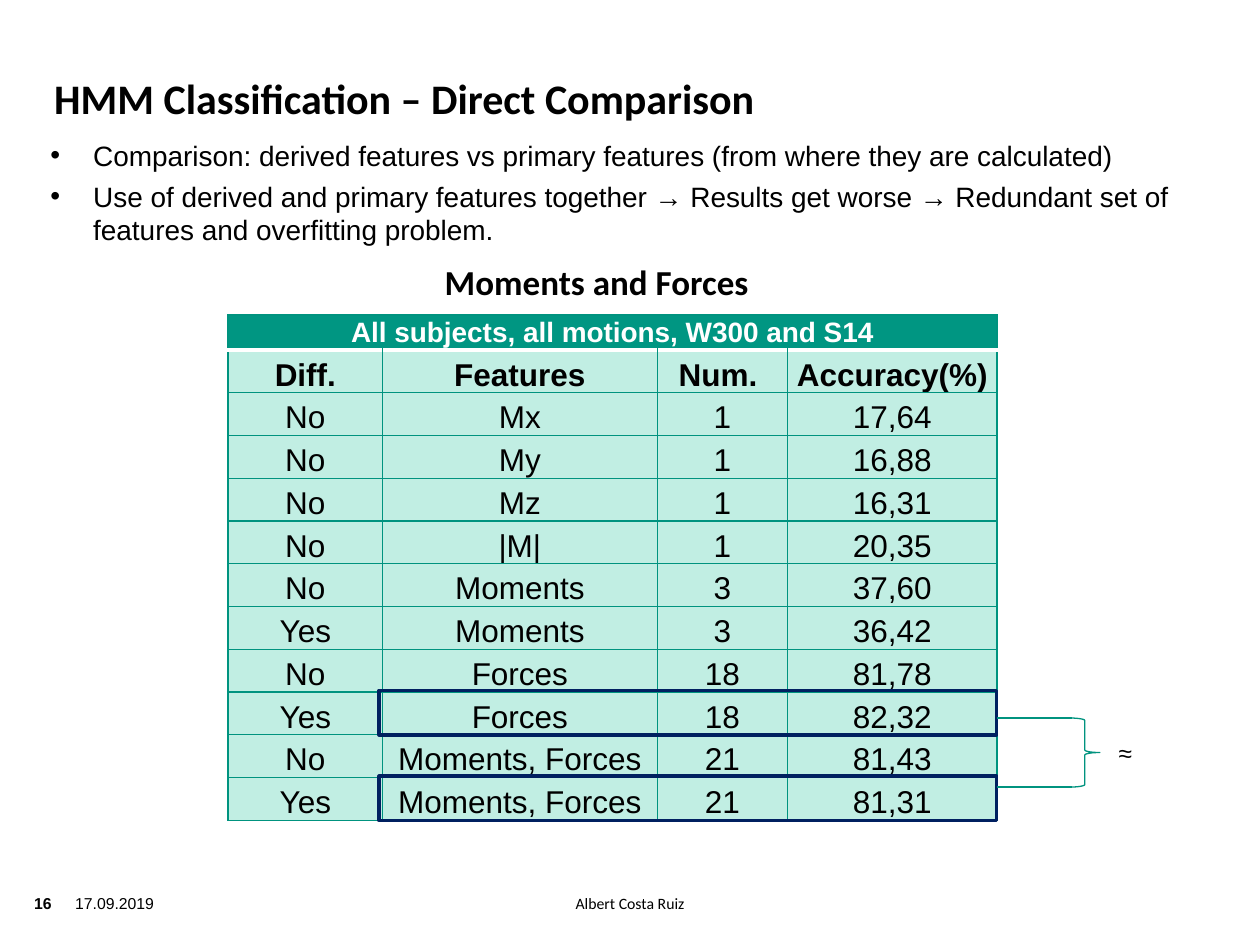
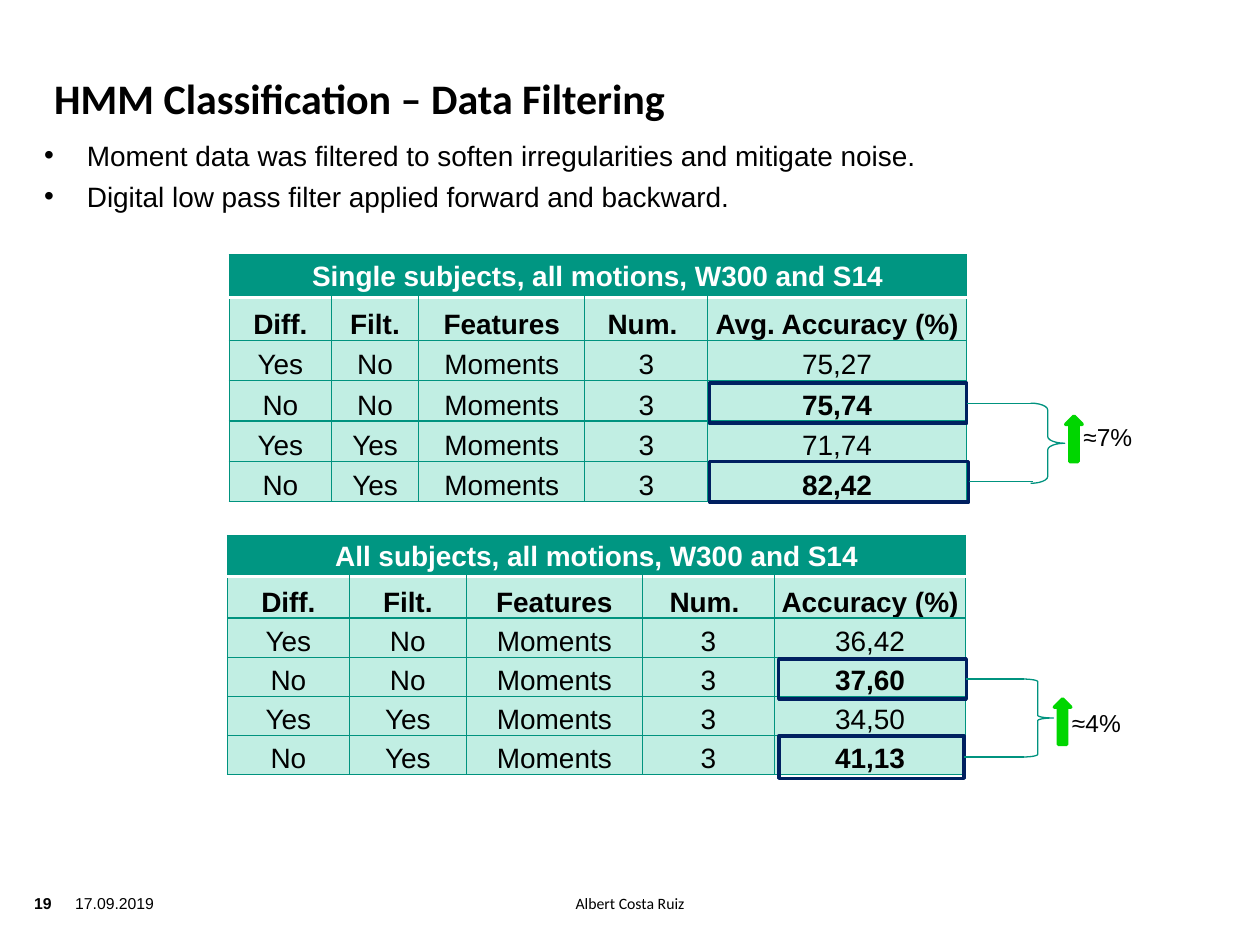
from lxml import etree
from pptx import Presentation
from pptx import util as u
from pptx.dml.color import RGBColor
from pptx.enum import shapes, text
from pptx.oxml import ns

Pt = u.Pt
COLORS = {
    "black": "000000",
    "white": "FFFFFF",
    "header": "009682",
    "cell": "C1EEE3",
    "grid": "00937F",
    "marker": "002060",
    "gain": "00D600",
}
CENTER = text.PP_ALIGN.CENTER
BULLET_INDENT = 24.5


def rgb(name):
    return RGBColor.from_string(COLORS[name])


def write_text(paragraph, content, size=16, font="Arial", color="black", bold=False,
               align=None, before=0, line_spacing=None):
    run = paragraph.add_run()
    run.text = content
    run.font.size = Pt(size)
    run.font.name = font
    run.font.bold = bold
    run.font.color.rgb = rgb(color)
    paragraph.alignment = align
    paragraph.space_before = Pt(before)
    if line_spacing:
        paragraph.line_spacing = line_spacing


def add_bullet(paragraph):
    properties = paragraph._p.get_or_add_pPr()
    properties.set("marL", str(Pt(BULLET_INDENT)))
    properties.set("indent", str(-Pt(BULLET_INDENT)))
    etree.SubElement(properties, ns.qn("a:buFont")).set("typeface", "Arial")
    etree.SubElement(properties, ns.qn("a:buChar")).set("char", "•")


def add_text(slide, box, lines, inset=(0, 0), anchor=text.MSO_ANCHOR.TOP,
             bullets=False, **text_format):
    frame = slide.shapes.add_textbox(*map(Pt, box)).text_frame
    frame.word_wrap = True
    frame.vertical_anchor = anchor
    frame.margin_left = frame.margin_right = Pt(inset[0])
    frame.margin_top = frame.margin_bottom = Pt(inset[1])
    for index, line in enumerate(lines):
        paragraph = frame.add_paragraph() if index else frame.paragraphs[0]
        write_text(paragraph, line, **text_format)
        if bullets:
            add_bullet(paragraph)


def add_slide(presentation, number, title, bullets, bullets_left):
    slide = presentation.slides.add_slide(presentation.slide_layouts[6])
    add_text(slide, (118.8, 508.3, 482.4, 28), ["Albert Costa Ruiz"], inset=(7.2, 3.6),
             size=9, font="Calibri", align=CENTER, line_spacing=0.9)
    add_text(slide, (43, 510.5, 67.7, 28), ["17.09.2019"], size=9)
    add_text(slide, (19.5, 510.5, 25, 16.5), [number], size=9, bold=True)
    add_text(slide, (31, 26, 579, 44), [title], anchor=text.MSO_ANCHOR.BOTTOM,
             size=24, font="Calibri", bold=True)
    add_text(slide, (bullets_left, 79.2, 674.6, 101.5), bullets, bullets=True, before=4)
    return slide


def set_border(cell, position, side, color, width):
    line = etree.Element(ns.qn(f"a:ln{side}"), w=str(Pt(width)))
    fill = etree.SubElement(line, ns.qn("a:solidFill"))
    etree.SubElement(fill, ns.qn("a:srgbClr")).set("val", COLORS[color])
    cell._tc.get_or_add_tcPr().insert(position, line)


def style_cell(cell, row):
    cell.margin_left = cell.margin_right = cell.margin_top = Pt(0.7)
    cell.margin_bottom = 0
    cell.vertical_anchor = text.MSO_ANCHOR.BOTTOM if row else text.MSO_ANCHOR.MIDDLE
    cell.fill.solid()
    cell.fill.fore_color.rgb = rgb("cell" if row else "header")
    white_side = {0: "B", 1: "T"}.get(row)
    for position, side in enumerate("LRTB"):
        color, width = ("white", 2) if side == white_side else ("grid", 0.75)
        set_border(cell, position, side, color, width)


def add_results(slide, left, top, widths, heights, title, rows, size=16, best_rows=()):
    frame = slide.shapes.add_table(len(heights), len(widths), Pt(left), Pt(top),
                                   Pt(sum(widths)), Pt(sum(heights)))
    table = frame.table
    table.first_row = table.horz_banding = False
    for column, width in zip(table.columns, widths):
        column.width = Pt(width)
    for row, height in zip(table.rows, heights):
        row.height = Pt(height)
    last = len(widths) - 1
    table.cell(0, 0).merge(table.cell(0, last))
    for row in range(len(heights)):
        for column in range(len(widths)):
            style_cell(table.cell(row, column), row)
    write_text(table.cell(0, 0).text_frame.paragraphs[0], title, color="white",
               bold=True, align=CENTER)
    for row, values in enumerate(rows, 1):
        for column, value in enumerate(values):
            bold = row == 1 or (row in best_rows and column == last)
            write_text(table.cell(row, column).text_frame.paragraphs[0], value,
                       size=size, bold=bold, align=CENTER)


def add_outline(slide, kind, box, color, width, fill=None):
    shape = slide.shapes.add_shape(kind, *map(Pt, box))
    shape.shadow.inherit = False
    if fill:
        shape.fill.solid()
        shape.fill.fore_color.rgb = rgb(fill)
    else:
        shape.fill.background()
    shape.line.color.rgb = rgb(color)
    shape.line.width = Pt(width)
    return shape


def add_marker(slide, *box):
    return add_outline(slide, shapes.MSO_SHAPE.RECTANGLE, box, "marker", 2)


def add_line(slide, start, end, y, marker=None):
    connector = slide.shapes.add_connector(shapes.MSO_CONNECTOR.STRAIGHT,
                                           Pt(start), Pt(y), Pt(end), Pt(y))
    if marker is not None:
        connector.begin_connect(marker, 3)
        connector.end_y = connector.begin_y
    connector.line.color.rgb = rgb("grid")
    connector.line.width = Pt(0.75)
    etree.SubElement(connector._element.spPr, ns.qn("a:effectLst"))


def add_brace(slide, start, left, top, width, height, markers=(None, None)):
    for y, marker in zip((top, top + height), markers):
        add_line(slide, start, left + 1.4, y, marker)
    return add_outline(slide, shapes.MSO_SHAPE.RIGHT_BRACE, (left, top, width, height),
                       "grid", 0.75)


def add_note(slide, left, top, content):
    add_text(slide, (left, top, 64, 24.5), [content], inset=(7.2, 3.6), size=14)


def add_gain(slide, left, top, note_left, note_top, content):
    add_outline(slide, shapes.MSO_SHAPE.UP_ARROW, (left, top, 9.4, 26), "gain", 2, "gain")
    add_note(slide, note_left, note_top, content)


def build_comparison(presentation):
    slide = add_slide(presentation, "16", "HMM Classification – Direct Comparison", [
        "Comparison: derived features vs primary features (from where they are calculated)",
        "Use of derived and primary features together → Results get worse → "
        "Redundant set of features and overfitting problem.",
    ], 28.8)
    add_text(slide, (247, 145.4, 226.8, 35.3), ["Moments and Forces"], inset=(7.2, 3.6),
             size=20, font="Calibri", bold=True)
    add_results(slide, 130.3, 180, (88.4, 156.8, 74.6, 119.7), [20] + [24.45] * 11,
                "All subjects, all motions, W300 and S14", [
                    ("Diff.", "Features", "Num. ", "Accuracy(%)"),
                    ("No", "Mx", "1", "17,64"),
                    ("No", "My", "1", "16,88"),
                    ("No", "Mz", "1", "16,31"),
                    ("No", "|M|", "1", "20,35"),
                    ("No", "Moments", "3", "37,60"),
                    ("Yes", "Moments", "3", "36,42"),
                    ("No", "Forces", "18", "81,78"),
                    ("Yes", "Forces", "18", "82,32"),
                    ("No", "Moments, Forces", "21", "81,43"),
                    ("Yes", "Moments, Forces", "21", "81,31"),
                ], size=18)
    for top in (394.6, 443.5):
        add_marker(slide, 216.7, top, 352.8, 25.3)
    add_brace(slide, 569.5, 611.3, 410.3, 17.2, 39.5)
    add_note(slide, 632.2, 418.3, "≈")


def build_filtering(presentation):
    slide = add_slide(presentation, "19", "HMM Classification – Data Filtering", [
        "Moment data was filtered to soften irregularities and mitigate noise.",
        "Digital low pass filter applied forward and backward.",
    ], 25.2)
    settings = [("Yes", "No"), ("No", "No"), ("Yes", "Yes"), ("No", "Yes")]

    def filter_rows(accuracy_label, accuracies):
        head = ("Diff.", "Filt.", "Features", "Num. ", accuracy_label)
        return [head] + [(*setting, "Moments", "3", accuracy)
                         for setting, accuracy in zip(settings, accuracies)]

    add_results(slide, 131, 145.6, (58.5, 49.7, 95.1, 70.3, 147.6), [24.5] * 2 + [23] * 4,
                "Single subjects, all motions, W300 and S14",
                filter_rows("Avg. Accuracy (%)", ("75,27", "75,74", "71,74", "82,42")),
                best_rows=(3, 5))
    add_results(slide, 130, 306, (69.6, 66.9, 100.6, 75.4, 109.5), [23.6] * 2 + [22.4] * 4,
                "All subjects, all motions, W300 and S14",
                filter_rows("Accuracy (%)", ("36,42", "37,60", "34,50", "41,13")),
                best_rows=(3, 5))
    single = [add_marker(slide, 405.4, 218.9, 147, 23),
              add_marker(slide, 405.4, 263.7, 148.2, 23.2)]
    brace = add_brace(slide, 552.4, 589, 230.4, 19.4, 45.8, single)
    brace.adjustments[0] = 0.2
    everyone = [add_marker(slide, 445, 376.5, 107.2, 23),
                add_marker(slide, 445, 420.5, 106, 24.3)]
    add_brace(slide, 552.2, 584, 388, 18, 44.6, everyone)
    add_gain(slide, 609, 237.8, 612, 237.7, "≈7%")
    add_gain(slide, 602.5, 399.4, 605.5, 401, "≈4%")


def main():
    presentation = Presentation()
    presentation.slide_width = Pt(720)
    presentation.slide_height = Pt(540)
    build_comparison(presentation)
    build_filtering(presentation)
    presentation.save("out.pptx")


if __name__ == "__main__":
    main()
